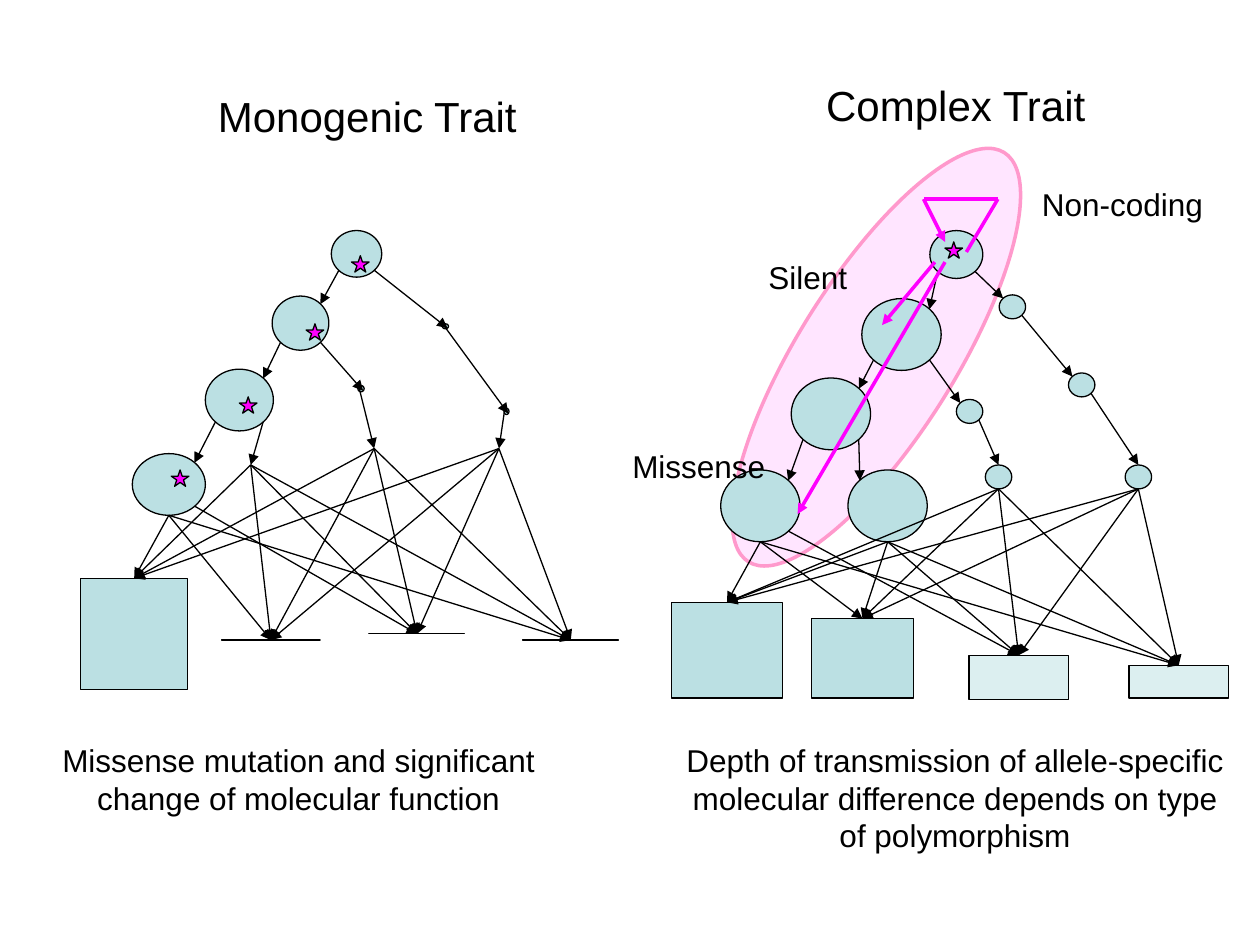
"""Builds a slide comparing monogenic and complex trait networks."""
from itertools import product

from lxml.etree import SubElement
from pptx import Presentation
from pptx.dml.color import RGBColor
from pptx.enum.shapes import MSO_CONNECTOR, MSO_SHAPE
from pptx.enum.text import PP_ALIGN
from pptx.oxml.ns import qn
from pptx.util import Inches, Pt

CELL = Inches(0.1)
COLUMNS, ROWS = 100, 75
COLORS = {"ink": "000000", "node": "BBE0E3", "variant": "FF00FF",
          "pathway": "FFCCFF", "pathway_edge": "FF99CC"}
SITES = {"top": (0.5, 0), "bottom": (0.5, 1), "upper_left": (0.15, 0.15),
         "upper_right": (0.85, 0.15), "lower_left": (0.15, 0.85),
         "lower_right": (0.85, 0.85)}

COMPLEX = {
    "nodes": {
        "root": (73.8, 18.3, 4.2, 3.8), "left": (68.4, 23.7, 6.3, 5.7),
        "right": (79.3, 23.4, 2.1, 1.9), "left_left": (62.8, 30, 6.3, 5.7),
        "left_right": (75.9, 31.7, 2.1, 1.9), "right_right": (84.8, 29.6, 2.1, 1.9),
        "leaf_3": (78.2, 36.9, 2.1, 1.9), "leaf_2": (67.3, 37.3, 6.3, 5.7),
        "leaf_1": (57.2, 37.3, 6.3, 5.7), "leaf_4": (89.3, 36.9, 2.1, 1.9)},
    "edges": [
        ("root", "lower_left", "left", "upper_right"),
        ("root", "lower_right", "right", "upper_left"),
        ("left", "lower_left", "left_left", "upper_right"),
        ("left", "lower_right", "left_right", "upper_left"),
        ("left_left", "lower_left", "leaf_1", "upper_right"),
        ("left_left", "lower_right", "leaf_2", "upper_left"),
        ("right", "lower_right", "right_right", "upper_left"),
        ("right_right", "lower_right", "leaf_4", "top"),
        ("left_right", "lower_right", "leaf_3", "top")],
    "bars": [(53.3, 47.8, 8.8, 7.6, 100), (64.4, 49.1, 8.1, 6.3, 100),
             (76.9, 52, 7.9, 3.5, 50), (89.6, 52.8, 7.9, 2.6, 50)]}

MONOGENIC = {
    "nodes": {
        "root": (26.3, 18.3, 4, 3.7), "left": (21.6, 23.5, 4.5, 4.3),
        "right": (35.1, 25.7, 0.5, 0.4), "left_left": (16.3, 29.3, 5.4, 4.9),
        "left_right": (28.4, 30.6, 0.5, 0.5), "right_right": (40, 32.4, 0.4, 0.5),
        "leaf_3": (29.7, 35.6, 0, 0), "leaf_2": (19.9, 36.9, 0, 0),
        "leaf_1": (10.5, 36, 5.8, 4.9), "leaf_4": (39.6, 35.6, 0, 0)},
    "edges": [
        ("root", "lower_left", "left", "upper_right"),
        ("root", "lower_right", "right", "lower_right"),
        ("left", "lower_left", "left_left", "upper_right"),
        ("left", "lower_right", "left_right", "lower_right"),
        ("left_left", "lower_left", "leaf_1", "upper_right"),
        ("left_left", "lower_right", "leaf_2", "top"),
        ("right", "upper_left", "right_right", "lower_right"),
        ("right_right", "upper_left", "leaf_4", "top"),
        ("left_right", "upper_left", "leaf_3", "top")],
    "bars": [(6.4, 45.9, 8.5, 8.8, 100), (17.6, 50.8, 7.8, 0, 100),
             (29.3, 50.3, 7.6, 0, 100), (41.5, 50.8, 7.6, 0, 100)]}

STARS = [(27.9, 20.3), (24.3, 25.7), (19, 31.5), (13.6, 37.3), (75, 19.2)]
VARIANT_LINES = [
    ((75, 20.8), (63.3, 40.8), True), ((74.2, 20.8), (70, 25.8), True),
    ((76.7, 20), (79.2, 15.8), False), ((79.2, 15.8), (73.3, 15.8), False),
    ((73.3, 15.8), (75, 19.2), True)]
TEXTS = [
    ("Monogenic Trait", (15.8, 6.7, 26.7, 5), 24, PP_ALIGN.CENTER),
    ("Complex Trait", (62.5, 5.8, 26.7, 5), 24, PP_ALIGN.CENTER),
    ("Missense", (49.2, 35, 13.3, 4), 18, PP_ALIGN.LEFT),
    ("Silent", (60, 20, 10.8, 4), 18, PP_ALIGN.LEFT),
    ("Non-coding", (81.7, 14.2, 15.8, 4), 18, PP_ALIGN.LEFT),
    ("Depth of transmission of allele-specific molecular difference depends "
     "on type of polymorphism", (53.3, 58.3, 45, 10), 18, PP_ALIGN.CENTER),
    ("Missense mutation and significant change of molecular function",
     (3.3, 58.3, 40.8, 7), 18, PP_ALIGN.CENTER)]


def color(name):
    """Return a palette colour."""
    return RGBColor.from_string(COLORS[name])


def grid(*lengths):
    """Convert grid columns or rows to slide units."""
    return [round(length * CELL) for length in lengths]


def add_figure(page, kind, place, fill="node", line="ink", weight=0.75, opacity=100):
    """Add a filled, outlined preset shape."""
    shape = page.shapes.add_shape(kind, *grid(*place))
    shape.shadow.inherit = False
    shape.fill.solid()
    shape.fill.fore_color.rgb = color(fill)
    shape.line.color.rgb = color(line)
    shape.line.width = Pt(weight)
    if opacity < 100:
        tint = shape.fill._xPr.find(qn("a:solidFill"))[0]
        SubElement(tint, qn("a:alpha"), val=str(opacity * 1000))
    return shape


def add_line(page, start, end, ink="ink", weight=0.75, arrow=True):
    """Add a straight line, with an arrowhead at its end if wanted."""
    line = page.shapes.add_connector(MSO_CONNECTOR.STRAIGHT, *grid(*start, *end))
    line.line.color.rgb = color(ink)
    line.line.width = Pt(weight)
    if arrow:
        SubElement(line.line._get_or_add_ln(), qn("a:tailEnd"), type="triangle")
    SubElement(line._element.spPr, qn("a:effectLst"))


def add_text(page, text, place, size, align):
    """Add a wrapped text box."""
    frame = page.shapes.add_textbox(*grid(*place)).text_frame
    frame.word_wrap = True
    para = frame.paragraphs[0]
    para.alignment = align
    span = para.add_run()
    span.text = text
    for name, value in {"name": "Arial", "size": Pt(size)}.items():
        setattr(span.font, name, value)
    span.font.color.rgb = color("ink")


def site(place, name):
    """Return the point of a named site on a shape."""
    left, top, width, height = place[:4]
    across, down = SITES[name]
    return left + across * width, top + down * height


def add_network(page, nodes, edges, bars):
    """Draw a branching network whose leaves all feed every bar."""
    for place in nodes.values():
        if place[2]:
            add_figure(page, MSO_SHAPE.OVAL, place)
    for parent, exit_site, child, entry_site in edges:
        add_line(page, site(nodes[parent], exit_site), site(nodes[child], entry_site))
    for *place, opacity in bars:
        add_figure(page, MSO_SHAPE.RECTANGLE, place, opacity=opacity)
    for leaf, bar in product(range(1, 5), range(4)):
        exit_site = "lower_right" if (leaf, bar) == (1, 2) else "bottom"
        add_line(page, site(nodes[f"leaf_{leaf}"], exit_site), site(bars[bar], "top"))


def main():
    """Build and save the slide."""
    deck = Presentation()
    deck.slide_width, deck.slide_height = grid(COLUMNS, ROWS)
    page = deck.slides.add_slide(deck.slide_layouts[6])
    pathway = add_figure(page, MSO_SHAPE.OVAL, (63.3, 9.2, 12.5, 38.3),
                         "pathway", "pathway_edge", 2, 50)
    pathway.rotation = 32
    for network in (COMPLEX, MONOGENIC):
        add_network(page, **network)
    for left, top in STARS:
        add_figure(page, MSO_SHAPE.STAR_5_POINT, (left, top, 1.4, 1.3), "variant")
    for start, end, arrow in VARIANT_LINES:
        add_line(page, start, end, "variant", 2, arrow)
    for entry in TEXTS:
        add_text(page, *entry)
    deck.save("out.pptx")


if __name__ == "__main__":
    main()
